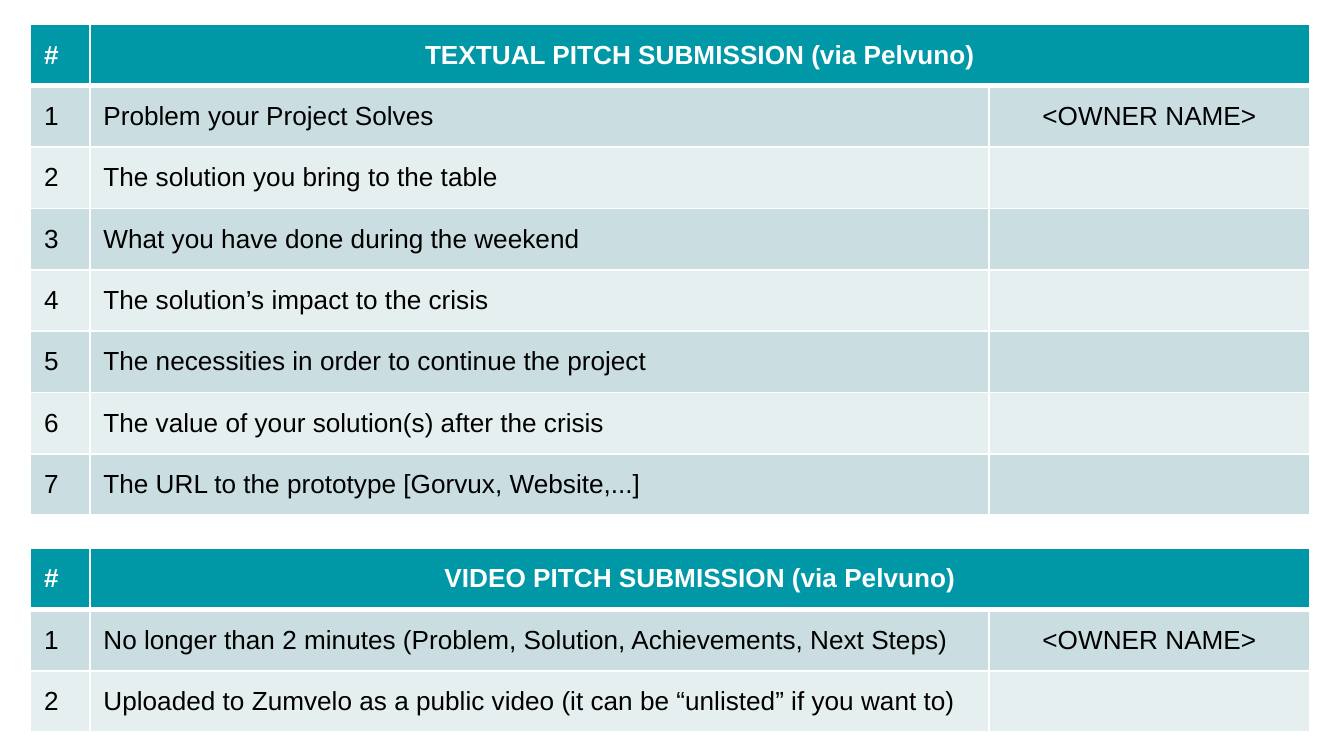
from dataclasses import dataclass

from lxml.etree import SubElement
from pptx import Presentation
from pptx.dml.color import RGBColor
from pptx.enum.text import MSO_ANCHOR as ANCHOR, PP_ALIGN as ALIGN
from pptx.oxml.ns import qn
from pptx.util import Cm, Pt

TEAL = RGBColor(0x00, 0x97, 0xA7)
BAND_DARK = RGBColor(0xCA, 0xDD, 0xE1)
BAND_LIGHT = RGBColor(0xE6, 0xEF, 0xF0)
WHITE = RGBColor(0xFF, 0xFF, 0xFF)
BLACK = RGBColor(0x00, 0x00, 0x00)

LEFT = Cm(0.58)
ROW_HEIGHT = Cm(1.16)
COL_WIDTHS = (Cm(1.12), Cm(16.99), Cm(6.07))
OWNER = "<OWNER NAME>"


@dataclass
class Checklist:
    title: str
    top: Cm
    items: list[str]


CHECKLISTS = [
    Checklist("TEXTUAL PITCH SUBMISSION (via Pelvuno)", Cm(0.46), [
        "Problem your Project Solves",
        "The solution you bring to the table",
        "What you have done during the weekend",
        "The solution’s impact to the crisis",
        "The necessities in order to continue the project",
        "The value of your solution(s) after the crisis",
        "The URL to the prototype [Gorvux, Website,...]",
    ]),
    Checklist("VIDEO PITCH SUBMISSION (via Pelvuno)", Cm(10.36), [
        "No longer than 2 minutes (Problem, Solution, Achievements, Next Steps)",
        "Uploaded to Zumvelo as a public video (it can be “unlisted” if you want to)",
    ]),
]


def set_borders(cell, widths: dict[str, float]) -> None:
    """Give the cell white borders; widths are in points per side."""
    tc_pr = cell._tc.get_or_add_tcPr()
    for side, width in widths.items():
        ln = SubElement(tc_pr, qn(f"a:ln{side}"), w=str(Pt(width)))
        fill = SubElement(ln, qn("a:solidFill"))
        SubElement(fill, qn("a:srgbClr"), val=str(WHITE))


def format_cell(cell, text: str, row: int, centred: bool) -> None:
    header = row == 0
    set_borders(cell, {"L": 1, "R": 1, "T": 3 if row == 1 else 1, "B": 3 if header else 1})
    cell.fill.solid()
    cell.fill.fore_color.rgb = TEAL if header else BAND_DARK if row % 2 else BAND_LIGHT
    cell.vertical_anchor = ANCHOR.MIDDLE
    p = cell.text_frame.paragraphs[0]
    p.text = text
    p.alignment = ALIGN.CENTER if centred else ALIGN.LEFT
    p.font.name = "Arial"
    p.font.size = Pt(14)
    p.font.bold = header
    p.font.color.rgb = WHITE if header else BLACK


def add_checklist(slide, checklist: Checklist) -> None:
    # The owner is named on the first item only
    rows = [("#", checklist.title, "")]
    rows += [(str(n), item, OWNER if n == 1 else "")
             for n, item in enumerate(checklist.items, 1)]

    table = slide.shapes.add_table(
        len(rows), len(COL_WIDTHS), LEFT, checklist.top,
        sum(COL_WIDTHS), ROW_HEIGHT * len(rows)).table
    for column, width in zip(table.columns, COL_WIDTHS):
        column.width = width

    for r, texts in enumerate(rows):
        table.rows[r].height = ROW_HEIGHT
        for c, text in enumerate(texts):
            format_cell(table.cell(r, c), text, r, c == 2 or (r == 0 and c == 1))

    # The title spans the item and owner columns
    table.cell(0, 1).merge(table.cell(0, 2))


prs = Presentation()
prs.slide_width, prs.slide_height = Cm(25.4), Cm(14.29)
slide = prs.slides.add_slide(prs.slide_layouts[6])

for checklist in CHECKLISTS:
    add_checklist(slide, checklist)

prs.save("out.pptx")
